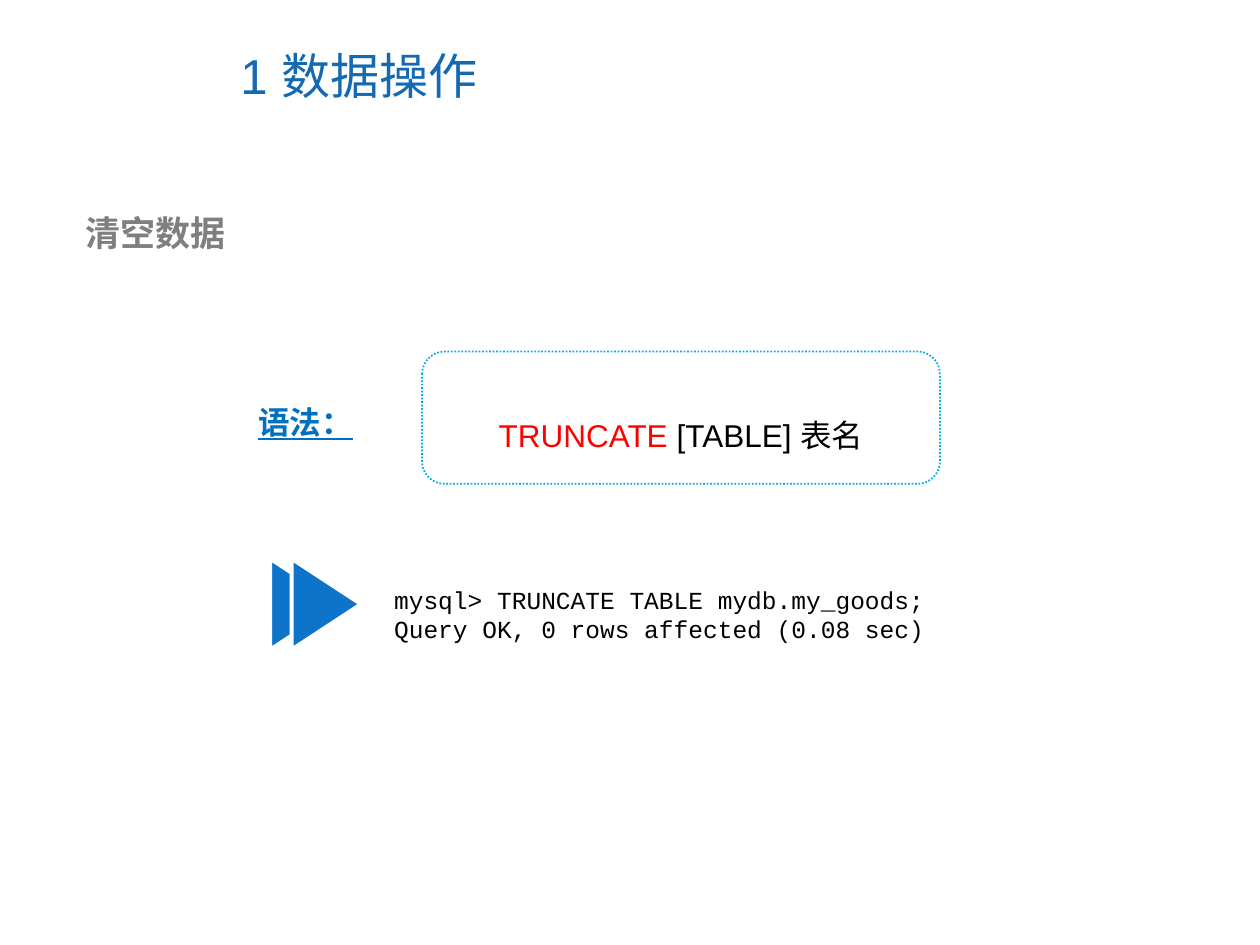
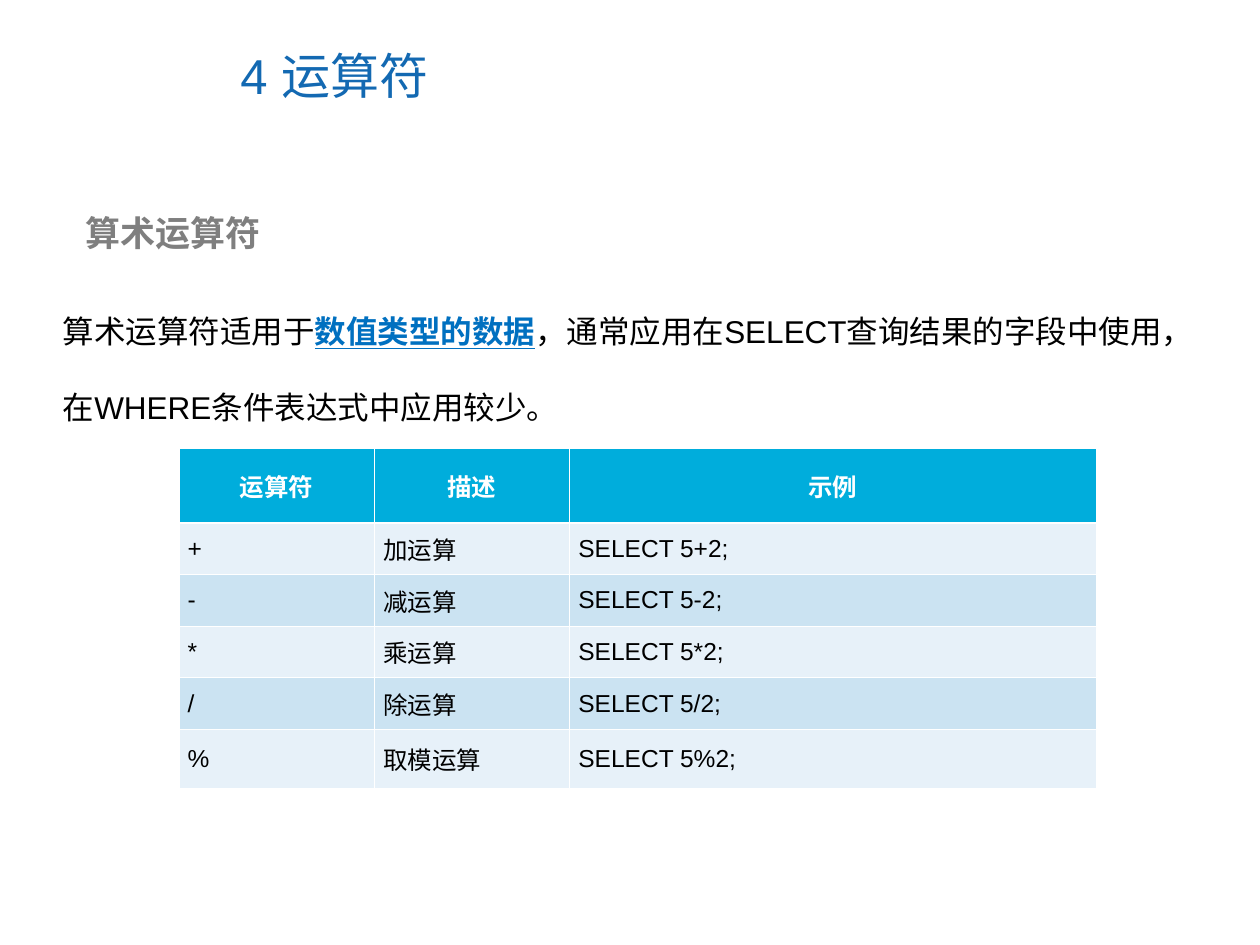
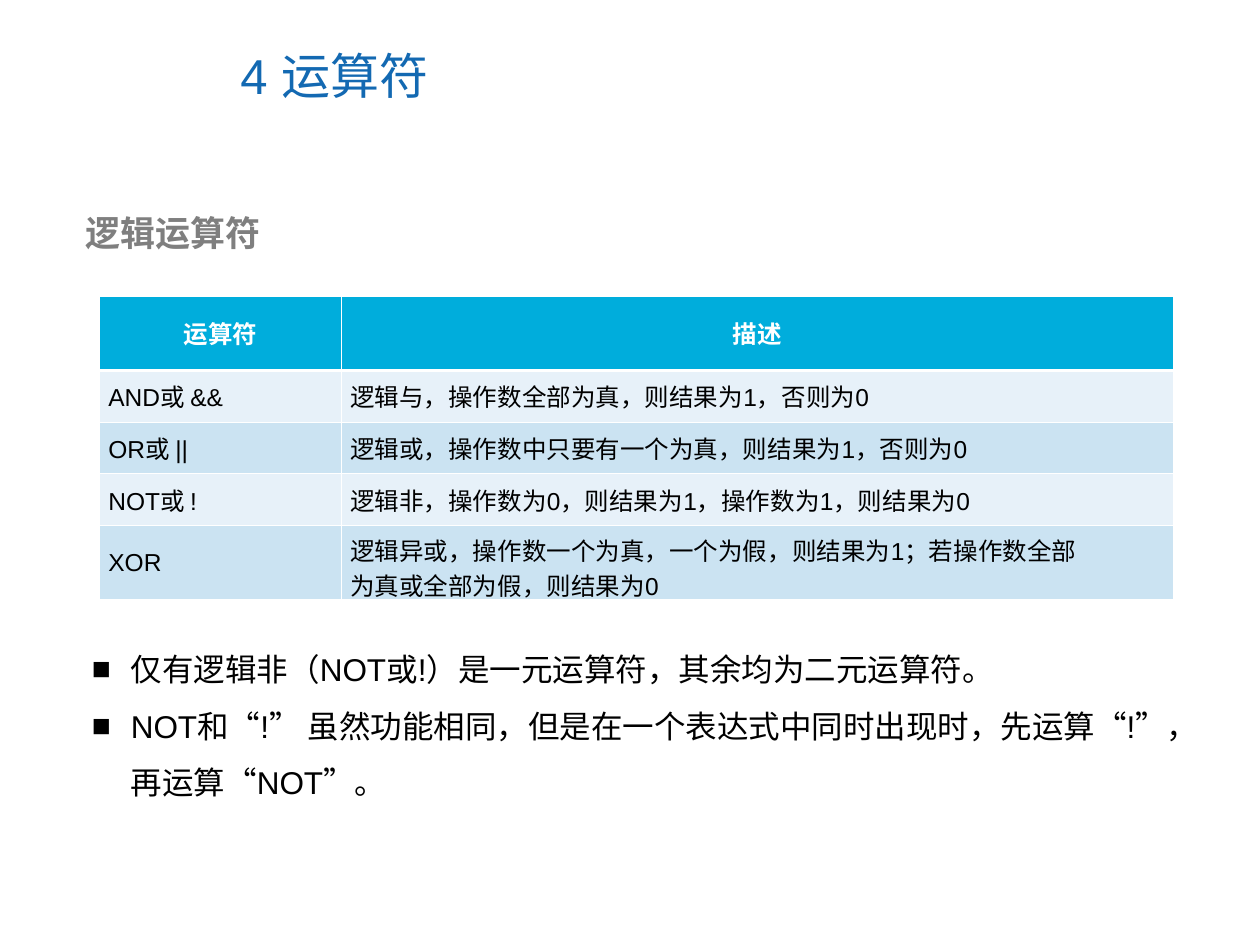
from dataclasses import dataclass

from lxml import etree
from pptx import Presentation
from pptx import util as u
from pptx.dml.color import RGBColor
from pptx.enum import dml, lang, shapes, text
from pptx.oxml.ns import qn


@dataclass(frozen=True)
class Theme:
    title: str = "1369B2"
    heading: str = "7F7F7F"
    ink: str = "000000"
    white: str = "FFFFFF"
    accent: str = "0070C0"
    keyword: str = "FF0000"
    frame: str = "00ACE6"
    arrow: str = "0D74C9"
    header: str = "00ADDC"
    bands: tuple = ("E7F1F9", "CBE3F2")
    title_size: int = 28
    heading_size: int = 20
    body_size: int = 18
    small_size: int = 14
    latin: str = "Arial"
    header_latin: str = "Times New Roman"
    code: str = "Courier New"
    asian: str = "Noto Sans CJK SC"


THEME = Theme()
EMPHASIS = {"color": THEME.accent, "bold": True, "underline": True}
SMALL = {"size": THEME.small_size}
HEADER_TEXT = {**SMALL, "name": THEME.header_latin, "color": THEME.white, "bold": True}
CENTER = {"alignment": text.PP_ALIGN.CENTER}


def place(left, top, width, height):
    return [u.Inches(value) for value in (left, top, width, height)]


class SlideBuilder:
    def __init__(self, theme):
        self.theme = theme
        self.deck = Presentation()
        self.deck.slide_width, self.deck.slide_height = u.Inches(10), u.Inches(7.5)
        self.page = None

    def start(self, title, heading):
        """Add a page with its title and its grey section heading."""
        theme = self.theme
        self.page = self.deck.slides.add_slide(self.deck.slide_layouts[6])
        self.text_box((1.81, 0.17, 5.16, 0.85), [title],
                      {"size": theme.title_size, "color": theme.title},
                      frame_format={"vertical_anchor": text.MSO_ANCHOR.MIDDLE})
        self.text_box((0.47, 1.63, 5.14, 0.44), [heading],
                      {"size": theme.heading_size, "color": theme.heading, "bold": True},
                      frame_format={"margin_left": u.Inches(0.21)})

    def fill_text(self, frame, lines, font_format=None, para_format=None, bullet=None):
        """Fill a frame; a line is a string or a list of (string, format) spans."""
        for index, line in enumerate(lines):
            para = frame.paragraphs[0] if index == 0 else frame.add_paragraph()
            for name, value in (para_format or {}).items():
                setattr(para, name, value)
            if bullet:
                self.add_bullet(para, bullet)
            spans = [(line, {})] if isinstance(line, str) else line
            for words, changes in spans:
                span = para.add_run()
                span.text = words
                self.style(span, {**(font_format or {}), **changes})

    def style(self, span, font_format):
        values = {"name": self.theme.latin, "size": self.theme.body_size,
                  "color": self.theme.ink, "bold": False,
                  "language_id": lang.MSO_LANGUAGE_ID.SIMPLIFIED_CHINESE, **font_format}
        values["size"] = u.Pt(values["size"])
        span.font.color.rgb = RGBColor.from_string(values.pop("color"))
        for name, value in values.items():
            setattr(span.font, name, value)
        properties = span._r.get_or_add_rPr()
        etree.SubElement(properties, qn("a:ea"), typeface=self.theme.asian)

    def add_bullet(self, para, bullet):
        properties = para._p.get_or_add_pPr()
        indent = u.Inches(0.31)
        properties.set("marL", str(indent))
        properties.set("indent", str(-indent))
        etree.SubElement(properties, qn("a:buFont"), typeface=self.theme.latin)
        etree.SubElement(properties, qn("a:buChar"), char=bullet)

    def text_box(self, area, lines, font_format=None, para_format=None,
                 frame_format=None, bullet=None):
        frame = self.page.shapes.add_textbox(*place(*area)).text_frame
        for name, value in {"word_wrap": True, **(frame_format or {})}.items():
            setattr(frame, name, value)
        self.fill_text(frame, lines, font_format, para_format, bullet)

    def shape(self, kind, area, fill, line, line_format):
        box = self.page.shapes.add_shape(kind, *place(*area))
        box.shadow.inherit = False
        box.fill.solid()
        box.fill.fore_color.rgb = RGBColor.from_string(fill)
        box.line.color.rgb = RGBColor.from_string(line)
        for name, value in line_format.items():
            setattr(box.line, name, value)
        return box

    def double_arrow(self, left, top, step):
        triangles = []
        for index in range(2):
            triangle = self.shape(shapes.MSO_SHAPE.ISOSCELES_TRIANGLE,
                                  (left + index * step, top, 0.72, 0.55),
                                  self.theme.arrow, self.theme.white,
                                  {"width": u.Pt(2.25)})
            triangle.rotation = 90
            triangles.append(triangle)
        self.page.shapes.add_group_shape(triangles)

    def table(self, left, top, widths, heights, rows):
        area = place(left, top, sum(widths), sum(heights))
        grid = self.page.shapes.add_table(len(rows), len(widths), *area).table
        for column, width in zip(grid.columns, widths):
            column.width = u.Inches(width)
        for row_index, (row, height) in enumerate(zip(rows, heights)):
            grid.rows[row_index].height = u.Inches(height)
            for column_index, words in enumerate(row):
                self.cell(grid.cell(row_index, column_index), row_index, words)

    def cell(self, cell, row_index, words):
        is_header = row_index == 0
        self.cell_borders(cell, {"lnT": 1.47 if row_index == 1 else 0.45,
                                 "lnB": 1.47 if is_header else 0.45})
        fill = self.theme.header if is_header else self.theme.bands[(row_index - 1) % 2]
        cell.fill.solid()
        cell.fill.fore_color.rgb = RGBColor.from_string(fill)
        cell_format = {"vertical_anchor": text.MSO_ANCHOR.MIDDLE,
                       "margin_left": u.Inches(0.07), "margin_right": u.Inches(0.07)}
        for name, value in cell_format.items():
            setattr(cell, name, value)
        self.fill_text(cell.text_frame, words.split("\n"),
                       HEADER_TEXT if is_header else SMALL, CENTER if is_header else None)

    def cell_borders(self, cell, widths):
        properties = cell._tc.get_or_add_tcPr()
        for side in ("lnL", "lnR", "lnT", "lnB"):
            width = str(int(u.Pt(widths.get(side, 0.45))))
            border = etree.SubElement(properties, qn("a:" + side), w=width)
            fill = etree.SubElement(border, qn("a:solidFill"))
            etree.SubElement(fill, qn("a:srgbClr"), val=self.theme.white)


def truncate_page(builder):
    builder.start("1 数据操作", "清空数据")
    frame = builder.shape(shapes.MSO_SHAPE.ROUNDED_RECTANGLE, (3.35, 2.79, 4.11, 1.05),
                          THEME.white, THEME.frame,
                          {"width": u.Pt(1), "dash_style": dml.MSO_LINE.ROUND_DOT})
    frame.adjustments[0] = 0.17
    builder.text_box((3.35, 2.95, 4.11, 0.7),
                     [[("TRUNCATE ", {"color": THEME.keyword}), ("[TABLE] 表名", {})]],
                     para_format={**CENTER, "line_spacing": 2.0})
    builder.text_box((3.03, 4.59, 5, 0.57),
                     ["mysql> TRUNCATE TABLE mydb.my_goods;",
                      "Query OK, 0 rows affected (0.08 sec)"],
                     {**SMALL, "name": THEME.code})
    builder.double_arrow(2.06, 4.52, 0.17)
    builder.text_box((1.95, 3.15, 0.95, 0.4), ["语法："], EMPHASIS,
                     frame_format={"word_wrap": False})


def arithmetic_page(builder):
    builder.start("4 运算符", "算术运算符")
    builder.text_box((0.4, 2.13, 9.37, 1.3),
                     [[("算术运算符适用于", {}), ("数值类型的数据", EMPHASIS),
                       ("，通常应用在SELECT查询结果的字段中使用，"
                        "在WHERE条件表达式中应用较少。", {})]],
                     para_format={"line_spacing": 2.0})
    operators = {"+": "加运算", "-": "减运算", "*": "乘运算", "/": "除运算", "%": "取模运算"}
    rows = [(sign, name, f"SELECT 5{sign}2;") for sign, name in operators.items()]
    builder.table(1.42, 3.56, [1.55, 1.55, 4.18], [0.59] + [0.41] * 4 + [0.47],
                  [("运算符", "描述", "示例")] + rows)


def logic_page(builder):
    builder.start("4 运算符", "逻辑运算符")
    builder.table(0.79, 2.35, [1.92, 6.6], [0.59] + [0.41] * 3 + [0.59], [
        ("运算符", "描述"),
        ("AND或 &&", "逻辑与，操作数全部为真，则结果为1，否则为0"),
        ("OR或 ||", "逻辑或，操作数中只要有一个为真，则结果为1，否则为0"),
        ("NOT或 !", "逻辑非，操作数为0，则结果为1，操作数为1，则结果为0"),
        ("XOR", "逻辑异或，操作数一个为真，一个为假，则结果为1；若操作数全部\n"
                "为真或全部为假，则结果为0"),
    ])
    builder.text_box((0.63, 4.96, 9.15, 1.45),
                     ["仅有逻辑非（NOT或!）是一元运算符，其余均为二元运算符。",
                      "NOT和“!” 虽然功能相同，但是在一个表达式中同时出现时，"
                      "先运算“!”，再运算“NOT”。"],
                     para_format={"line_spacing": 1.5}, bullet="■")


def main():
    builder = SlideBuilder(THEME)
    for build in (truncate_page, arithmetic_page, logic_page):
        build(builder)
    builder.deck.save("out.pptx")


if __name__ == "__main__":
    main()
